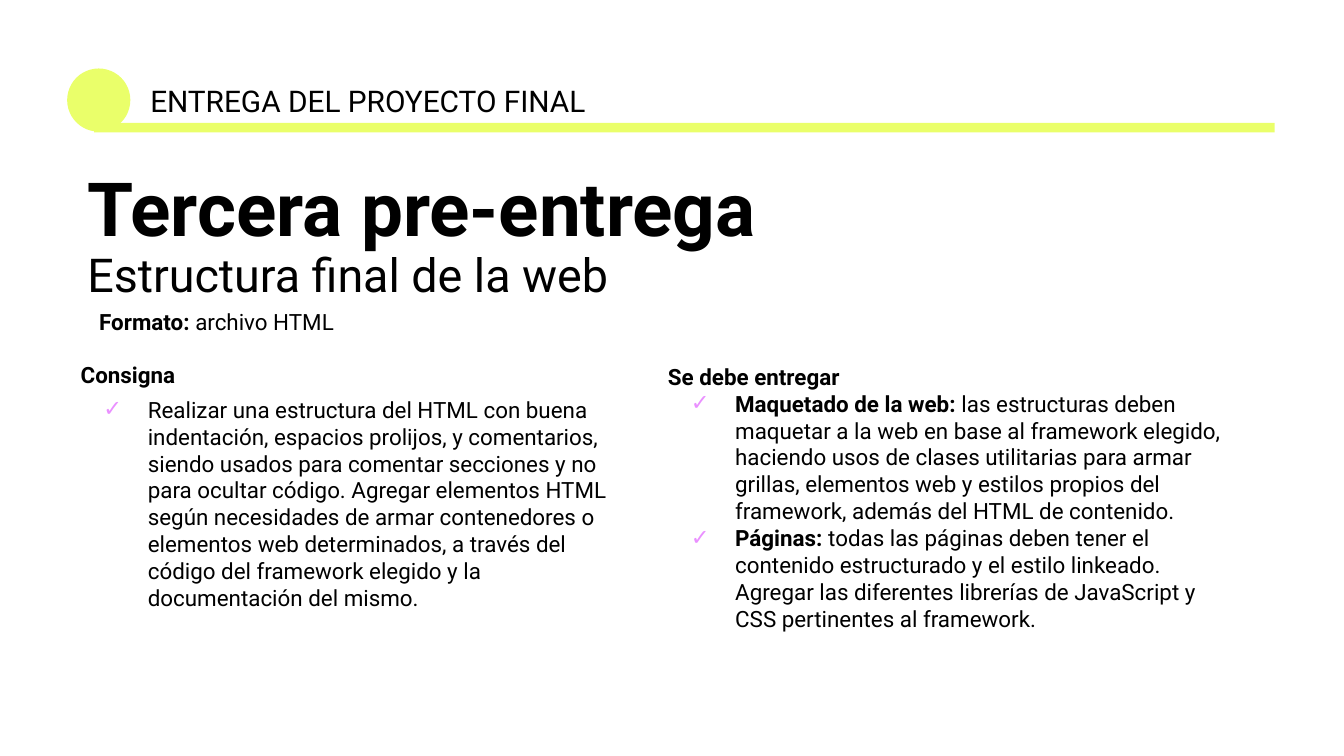
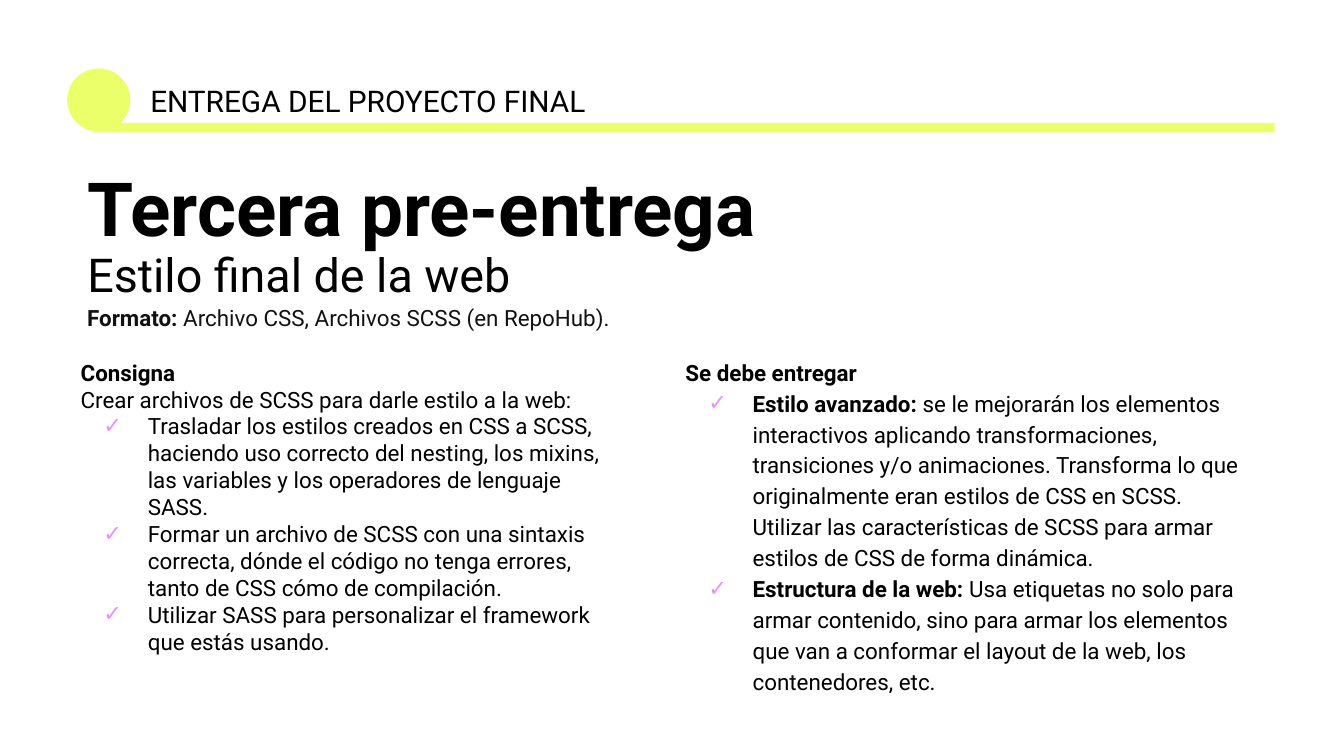
"""Build the two slides that describe the third pre-delivery of the final project."""
from lxml import etree
from pptx import Presentation, util as u
from pptx.dml import color
from pptx.enum import shapes, text
from pptx.oxml import ns

PX = 4572
FONT = "Roboto"
LIME, PINK, BLACK, INK = "EAFF6A", "EA90FF", "000000", "121212"


def place(shape, left, top, width, height, fill=None):
    shape.left, shape.top, shape.width, shape.height = (
        u.Emu(n * PX) for n in (left, top, width, height))
    if fill:
        shape.shadow.inherit = False
        shape.fill.solid()
        shape.fill.fore_color.rgb = color.RGBColor.from_string(fill)
        shape.line.fill.background()
        return
    frame = shape.text_frame
    frame.word_wrap = True
    frame.auto_size = text.MSO_AUTO_SIZE.NONE
    frame.vertical_anchor = text.MSO_ANCHOR.TOP
    frame.margin_left = frame.margin_right = u.Emu(20 * PX)
    frame.margin_top = frame.margin_bottom = u.Emu(20 * PX)


def write(shape, lead="", rest="", size=12, ink=BLACK, bullet=False, spacing=1.0, before=0):
    frame = shape.text_frame
    para = frame.add_paragraph() if frame.text else frame.paragraphs[0]
    para.alignment = text.PP_ALIGN.LEFT
    para.line_spacing = spacing
    para.space_before, para.space_after = u.Pt(before), u.Pt(0)
    props = para._p.get_or_add_pPr()
    props.set("marL", str(100 * PX if bullet else 0))
    props.set("indent", str(-66 * PX if bullet else 0))
    if bullet:
        tint = etree.SubElement(props, ns.qn("a:buClr"))
        etree.SubElement(tint, ns.qn("a:srgbClr"), val=PINK)
        etree.SubElement(props, ns.qn("a:buFont"), typeface=FONT)
        etree.SubElement(props, ns.qn("a:buChar"), char="✓")
    else:
        etree.SubElement(props, ns.qn("a:buNone"))
    for words, bold in ((lead, True), (rest, False)):
        if words:
            span = para.add_run()
            span.text = words
            span.font.name, span.font.size, span.font.bold = FONT, u.Pt(size), bold
            span.font.color.rgb = color.RGBColor.from_string(ink)


pages = [
    {
        "subtitle": "Estructura final de la web",
        "format": " archivo HTML", "format_at": (128, 438, 1146, 80), "format_ink": BLACK,
        "task_at": (100, 518, 838, 456), "task_intro": "", "task_gap": 4,
        "tasks": [
            "Realizar una estructura del HTML con buena indentación, espacios prolijos, y comentarios, "
            "siendo usados para comentar secciones y no para ocultar código. Agregar elementos HTML "
            "según necesidades de armar contenedores o elementos web determinados, a través del "
            "código del framework elegido y la documentación del mismo.",
        ],
        "delivery_at": (974, 520, 880, 444), "delivery_spacing": 1.0,
        "deliveries": [
            ("Maquetado de la web:",
             " las estructuras deben maquetar a la web en base al framework elegido, haciendo usos de "
             "clases utilitarias para armar grillas, elementos web y estilos propios del framework, "
             "además del HTML de contenido."),
            ("Páginas:",
             " todas las páginas deben tener el contenido estructurado y el estilo linkeado. Agregar "
             "las diferentes librerías de JavaScript y CSS pertinentes al framework."),
        ],
    },
    {
        "subtitle": "Estilo final de la web",
        "format": " Archivo CSS, Archivos SCSS (en RepoHub).",
        "format_at": (110, 433, 1022, 80), "format_ink": INK,
        "task_at": (100, 514, 838, 484), "task_gap": 0,
        "task_intro": "Crear archivos de SCSS para darle estilo a la web:",
        "tasks": [
            "Trasladar los estilos creados en CSS a SCSS, haciendo uso correcto del nesting, los mixins, "
            "las variables y los operadores de lenguaje SASS.",
            "Formar un archivo de SCSS con una sintaxis correcta, dónde el código no tenga errores, "
            "tanto de CSS cómo de compilación.",
            "Utilizar SASS para personalizar el framework que estás usando.",
        ],
        "delivery_at": (1000, 514, 880, 540), "delivery_spacing": 1.15,
        "deliveries": [
            ("Estilo avanzado:",
             " se le mejorarán los elementos interactivos aplicando transformaciones, transiciones y/o "
             "animaciones. Transforma lo que originalmente eran estilos de CSS en SCSS. Utilizar las "
             "características de SCSS para armar estilos de CSS de forma dinámica."),
            ("Estructura de la web:",
             " Usa etiquetas no solo para armar contenido, sino para armar los elementos que van a "
             "conformar el layout de la web, los contenedores, etc."),
        ],
    },
]

deck = Presentation()
deck.slide_width, deck.slide_height = u.Emu(2000 * PX), u.Emu(1125 * PX)

for content in pages:
    page = deck.slides.add_slide(deck.slide_layouts.get_by_name("Two Content"))
    title, task, delivery = page.placeholders

    dot = page.shapes.add_shape(shapes.MSO_SHAPE.OVAL, 0, 0, 0, 0)
    place(dot, 100, 102, 94, 94, fill=LIME)
    band = page.shapes.add_shape(shapes.MSO_SHAPE.RECTANGLE, 0, 0, 0, 0)
    place(band, 140, 183, 1757, 14, fill=LIME)
    header = page.shapes.add_textbox(0, 0, 0, 0)
    place(header, 204, 103, 700, 94)
    write(header, rest="ENTREGA DEL PROYECTO FINAL", size=16)

    place(title, 110, 236, 1598, 238)
    write(title, lead="Tercera pre-entrega", size=40, spacing=0.9)
    write(title, rest=content["subtitle"], size=25, spacing=0.9)

    file_format = page.shapes.add_textbox(0, 0, 0, 0)
    place(file_format, *content["format_at"])
    write(file_format, lead="Formato:", rest=content["format"], ink=content["format_ink"])

    place(task, *content["task_at"])
    write(task, lead="Consigna")
    if content["task_intro"]:
        write(task, rest=content["task_intro"])
    for words in content["tasks"]:
        write(task, rest=words, bullet=True, before=content["task_gap"])

    place(delivery, *content["delivery_at"])
    write(delivery, lead="Se debe entregar")
    for lead, rest in content["deliveries"]:
        write(delivery, lead=lead, rest=rest, bullet=True, spacing=content["delivery_spacing"])

deck.save("out.pptx")
